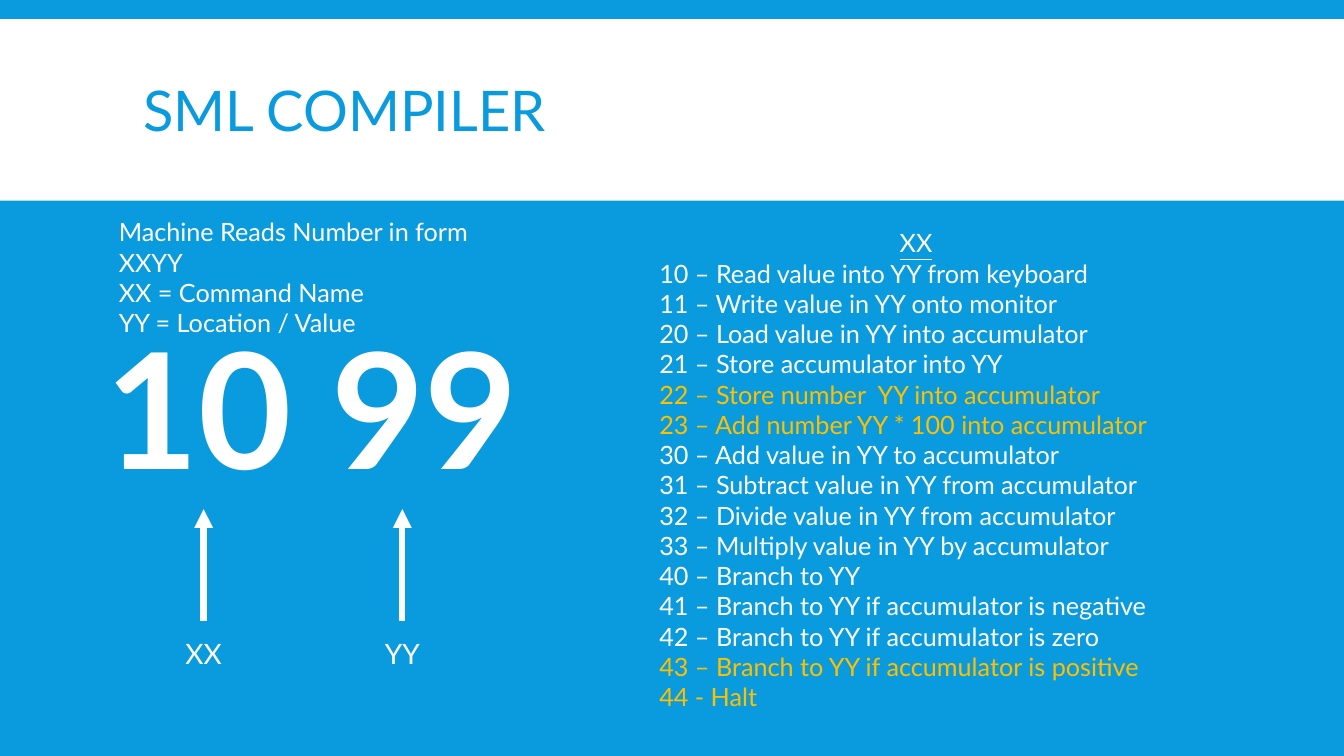
from lxml.etree import SubElement
from pptx import Presentation
from pptx.dml.color import RGBColor
from pptx.enum.shapes import MSO_CONNECTOR as LINE, MSO_SHAPE as SHAPE
from pptx.enum.text import MSO_ANCHOR as ANCHOR, PP_ALIGN as ALIGN
from pptx.oxml.ns import qn
from pptx.util import Inches, Pt

WIDTH, HEIGHT = 13.33, 7.5
FONT, BLUE, WHITE, AMBER = "Lato", "099BDD", "FFFFFF", "FFC000"

FORM = ["Machine Reads Number in form XXYY", "XX = Command Name", "YY = Location / Value"]
COMMANDS = [
    ("10 – Read value into YY from keyboard", WHITE),
    ("11 – Write value in YY onto monitor", WHITE),
    ("20 – Load value in YY into accumulator", WHITE),
    ("21 – Store accumulator into YY", WHITE),
    ("22 – Store number  YY into accumulator", AMBER),
    ("23 – Add number YY * 100 into accumulator", AMBER),
    ("30 – Add value in YY to accumulator", WHITE),
    ("31 – Subtract value in YY from accumulator", WHITE),
    ("32 – Divide value in YY from accumulator", WHITE),
    ("33 – Multiply value in YY by accumulator", WHITE),
    ("40 – Branch to YY", WHITE),
    ("41 – Branch to YY if accumulator is negative", WHITE),
    ("42 – Branch to YY if accumulator is zero", WHITE),
    ("43 – Branch to YY if accumulator is positive", AMBER),
    ("44 - Halt", AMBER),
]


def paint(fill, color):
    """Make a fill solid in a hex colour."""
    fill.solid()
    fill.fore_color.rgb = RGBColor.from_string(color)


def inches(*lengths):
    """Turn numbers into lengths in inches."""
    return [Inches(n) for n in lengths]


def write(tf, text, size=18, color=WHITE, align=ALIGN.LEFT, bold=False,
          underline=False, spacing=None):
    """Add one formatted paragraph, using the empty first one if there is one."""
    p = tf.paragraphs[0] if not tf.text else tf.add_paragraph()
    p.alignment, p.line_spacing = align, spacing
    r = p.add_run()
    r.text = text
    r.font.name, r.font.size = FONT, Pt(size)
    r.font.bold, r.font.underline = bold, underline
    paint(r.font.fill, color)


def text_box(s, box):
    """Add a wrapping text box and return its text frame."""
    tf = s.shapes.add_textbox(*inches(*box)).text_frame
    tf.word_wrap = True
    return tf


def arrow_up(s, x, bottom, top):
    """Draw a thick upward arrow."""
    line = s.shapes.add_connector(LINE.STRAIGHT, *inches(x, bottom, x, top))
    paint(line.line.fill, WHITE)
    line.line.width = Pt(4.5)
    SubElement(line.line._get_or_add_ln(), qn("a:tailEnd"), type="triangle")
    SubElement(line._element.spPr, qn("a:effectLst"))


def title_band(s, box):
    """Lay the white band and set the title over it."""
    x, y, w, h = box
    band = s.shapes.add_shape(SHAPE.RECTANGLE, *inches(*box))
    band.shadow.inherit = False
    paint(band.fill, WHITE)
    band.line.fill.background()
    title = s.shapes.title
    band._element.addnext(title._element)
    title.left, title.top, title.width, title.height = inches(
        x + 1.32, y + 0.12, w * 0.8, h - 0.15)
    tf = title.text_frame
    tf.vertical_anchor = ANCHOR.MIDDLE
    write(tf, "SML COMPILER", size=40, color=BLUE, spacing=0.85)


def number_form(s, box):
    """Explain the number form, with an arrow and label under each half."""
    x, y, w, h = box
    tf = text_box(s, (x + 0.42, y, 4.16, 1.62))
    for line in FORM:
        write(tf, line)
    write(text_box(s, (x, y + 0.91, w, 2.04)), "10 99", size=115,
          align=ALIGN.CENTER, bold=True)
    label_w, label_h = 1.52, 0.44
    label_y = y + h - label_h
    for i, name in enumerate(("XX", "YY")):
        center = x + 1.36 + i * 1.97
        arrow_up(s, center, label_y - 0.11, label_y - 1.22)
        label = text_box(s, (center - label_w / 2, label_y, label_w, label_h))
        write(label, name, size=20, align=ALIGN.CENTER)


def command_list(s, box):
    """List the commands under an underlined heading."""
    tf = text_box(s, box)
    write(tf, "XX", align=ALIGN.CENTER, underline=True)
    for command, color in COMMANDS:
        write(tf, command, color=color)


def compiler_slide(prs):
    """Build the slide from its three regions."""
    s = prs.slides.add_slide(prs.slide_layouts[5])
    paint(s.background.fill, BLUE)
    title_band(s, (0, 0.19, WIDTH, HEIGHT * 0.24))
    number_form(s, (0.66, 2.1, 4.86, 4.61))
    command_list(s, (6.44, 2.21, 5.29, HEIGHT * 0.66))


prs = Presentation()
prs.slide_width, prs.slide_height = inches(WIDTH, HEIGHT)
compiler_slide(prs)
prs.save("out.pptx")
